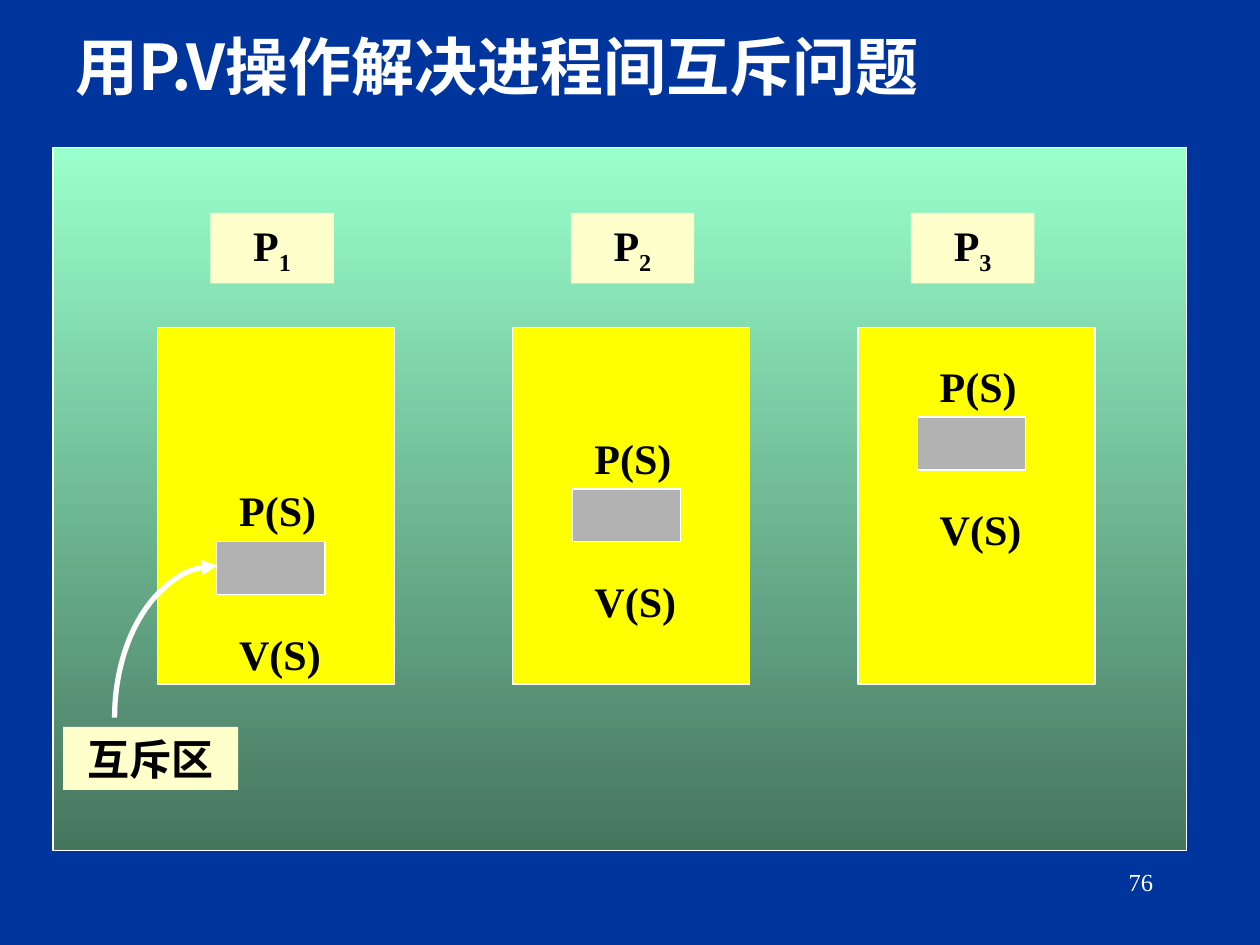
"""Build the slide on mutual exclusion between processes with P and V operations."""
from dataclasses import dataclass

from lxml import etree
from pptx import Presentation
from pptx.dml.color import RGBColor
from pptx.enum.shapes import MSO_SHAPE
from pptx.enum.text import MSO_ANCHOR, PP_ALIGN
from pptx.oxml.ns import qn
from pptx.util import Inches, Pt

RECTANGLE, ARC = MSO_SHAPE.RECTANGLE, MSO_SHAPE.ARC
TOP = MSO_ANCHOR.TOP
LEFT, CENTER, RIGHT = PP_ALIGN.LEFT, PP_ALIGN.CENTER, PP_ALIGN.RIGHT

TITLE = "用P.V操作解决进程间互斥问题"
REGION_LABEL = "互斥区"
PAGE_NUMBER = "76"
PROCESSES = [
    {"number": "1", "left": 1.25, "label_left": 1.67, "lock_top": 3.8},
    {"number": "2", "left": 4.07, "label_left": 4.53, "lock_top": 3.38},
    {"number": "3", "left": 6.81, "label_left": 7.23, "lock_top": 2.81},
]
BLOCK_TOP, BLOCK_SIZE = 2.6, (1.88, 2.83)
LABEL_TOP, LABEL_SIZE = 1.69, (0.98, 0.56)
OPERATION_SIZE, SECTION_SIZE = (0.86, 0.5), (0.86, 0.42)
OPERATION_INSET, SECTION_INSET = 0.55, 0.47
UNLOCK_DROP, SECTION_DROP = 1.14, 0.5


@dataclass(frozen=True)
class Theme:
    background: str = "00359E"
    panel_top: str = "99FFCC"
    panel_bottom: str = "46755E"
    block: str = "FFFF00"
    section: str = "B2B2B2"
    label: str = "FFFFCC"
    light: str = "FFFFFF"
    dark: str = "000000"
    latin_font: str = "Times New Roman"
    chinese_font: str = "Noto Sans CJK SC"
    title_size: int = 36
    text_size: int = 24
    number_size: int = 14
    thin_line: float = 0.75
    arrow_line: float = 3


THEME = Theme()


def color(code):
    return RGBColor.from_string(code)


def inches(box):
    return [Inches(length) for length in box]


def add_box(slide, box, fill=None, outlined=True):
    shape = slide.shapes.add_shape(RECTANGLE, *inches(box))
    shape.shadow.inherit = False
    if fill:
        shape.fill.solid()
        shape.fill.fore_color.rgb = color(fill)
    if outlined:
        shape.line.color.rgb = color(THEME.light)
        shape.line.width = Pt(THEME.thin_line)
    else:
        shape.line.fill.background()
    return shape


def write(shape, text, align=LEFT, size=THEME.text_size, ink=THEME.dark,
          font=THEME.latin_font, bold=True, subscript=""):
    frame = shape.text_frame
    frame.word_wrap = False
    frame.vertical_anchor = TOP
    paragraph = frame.paragraphs[0]
    paragraph.alignment = align
    for part in filter(None, (text, subscript)):
        run = paragraph.add_run()
        run.text = part
        run.font.size = Pt(size)
        run.font.bold = bold
        run.font.color.rgb = color(ink)
        run.font.name = font
        properties = run.font._element
        etree.SubElement(properties, qn("a:ea"), typeface=THEME.chinese_font)
    if subscript:
        properties.set("baseline", "-25000")


def add_text(slide, box, text, **style):
    write(slide.shapes.add_textbox(*inches(box)), text, **style)


def add_panel(slide):
    panel = add_box(slide, (0.42, 1.17, 9, 5.58))
    panel.fill.gradient()
    panel.fill.gradient_angle = 270
    ends = (THEME.panel_top, THEME.panel_bottom)
    for position, (stop, shade) in enumerate(zip(panel.fill.gradient_stops, ends)):
        stop.position = position
        stop.color.rgb = color(shade)


def add_process(slide, process):
    left, lock_top = process["left"], process["lock_top"]
    add_box(slide, (left, BLOCK_TOP, *BLOCK_SIZE), THEME.block)
    for row, operation in enumerate(("P(S)", "V(S)")):
        top = lock_top + row * UNLOCK_DROP
        add_text(slide, (left + OPERATION_INSET, top, *OPERATION_SIZE), operation)
    add_box(slide, (left + SECTION_INSET, lock_top + SECTION_DROP, *SECTION_SIZE),
            THEME.section)
    label = add_box(slide, (process["label_left"], LABEL_TOP, *LABEL_SIZE),
                    THEME.label, outlined=False)
    write(label, "P", align=CENTER, subscript=process["number"])


def add_curved_arrow(slide):
    arrow = slide.shapes.add_shape(ARC, *inches((0.91, 4.49, 1.63, 2.41)))
    arrow.shadow.inherit = False
    arrow.adjustments[0] = 108
    arrow.adjustments[1] = 162
    arrow.fill.background()
    arrow.line.color.rgb = color(THEME.light)
    arrow.line.width = Pt(THEME.arrow_line)
    etree.SubElement(arrow.line._get_or_add_ln(), qn("a:tailEnd"), type="triangle")


def main():
    presentation = Presentation()
    presentation.slide_width, presentation.slide_height = Inches(10), Inches(7.5)
    slide = presentation.slides.add_slide(presentation.slide_layouts[6])
    slide.background.fill.solid()
    slide.background.fill.fore_color.rgb = color(THEME.background)
    add_text(slide, (0.5, 0.17, 8.5, 0.92), TITLE, size=THEME.title_size,
             ink=THEME.light, font=THEME.chinese_font)
    add_panel(slide)
    for process in PROCESSES:
        add_process(slide, process)
    region = add_box(slide, (0.5, 5.77, 1.39, 0.5), THEME.label, outlined=False)
    write(region, REGION_LABEL, align=CENTER)
    add_curved_arrow(slide)
    add_text(slide, (7.17, 6.83, 2.08, 0.5), PAGE_NUMBER, align=RIGHT,
             size=THEME.number_size, ink=THEME.light, bold=False)
    presentation.save("out.pptx")


if __name__ == "__main__":
    main()
